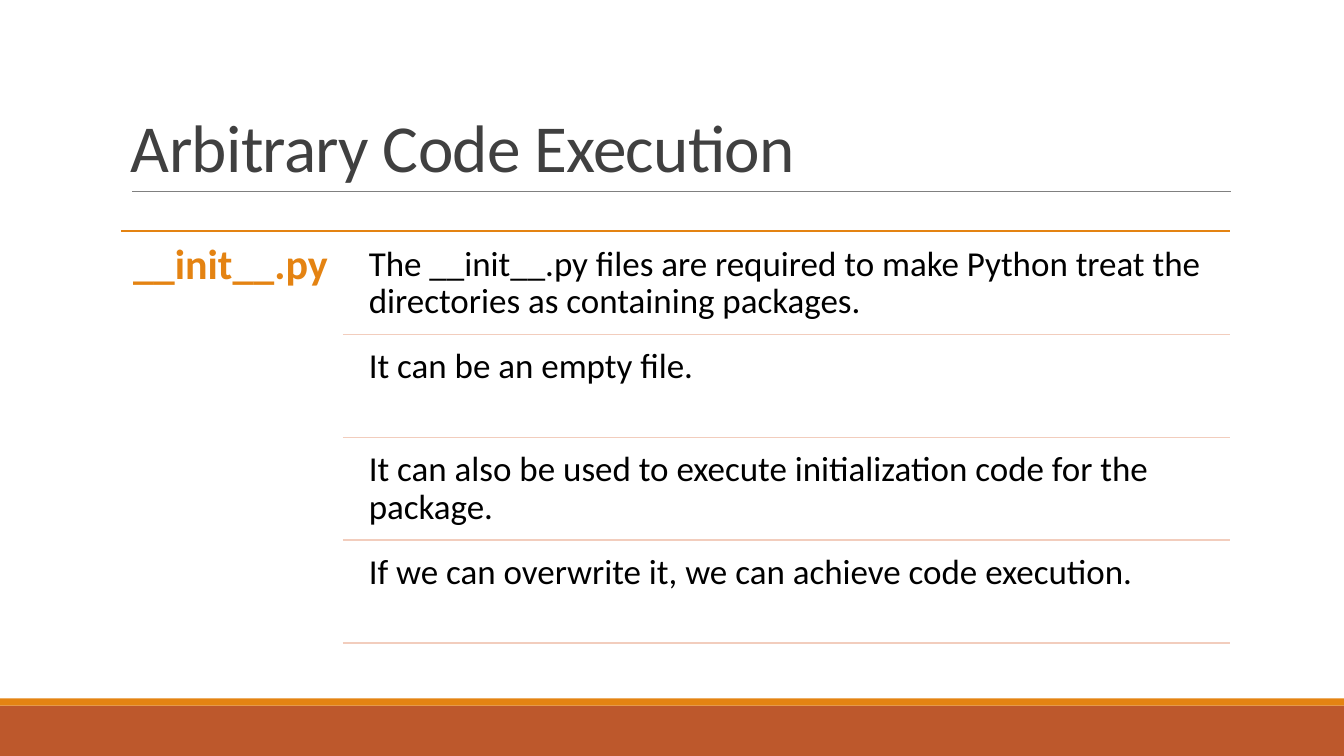
from lxml import etree
from pptx import Presentation
from pptx.dml.color import RGBColor
from pptx.enum.shapes import MSO_CONNECTOR, MSO_SHAPE
from pptx.enum.text import MSO_ANCHOR
from pptx.oxml.ns import qn
from pptx.util import Pt

EMU_PER_PX = 9144  # 100 px to the inch
STRAIGHT = MSO_CONNECTOR.STRAIGHT
RECTANGLE = MSO_SHAPE.RECTANGLE
TOP, BOTTOM = MSO_ANCHOR.TOP, MSO_ANCHOR.BOTTOM

RUST = RGBColor(0xBD, 0x58, 0x2C)
ORANGE = RGBColor(0xE4, 0x83, 0x12)
PEACH = RGBColor(0xF2, 0xCD, 0xBD)
GRAY = RGBColor(0x80, 0x80, 0x80)
CHARCOAL = RGBColor(0x40, 0x40, 0x40)
BLACK = RGBColor(0, 0, 0)

SLIDE_WIDTH, SLIDE_HEIGHT = 1333, 750
LIST_LEFT, LIST_TOP, LIST_RIGHT = 120, 229, 1220
ROW_LEFT, ROW_TEXT_LEFT = 340, 356
ROW_PITCH, ROW_GAP, ROW_HEIGHT = 102, 5, 97

POINTS = [
    "The __init__.py files are required to make Python treat the "
    "directories as containing packages.",
    "It can be an empty file.",
    "It can also be used to execute initialization code for the package.",
    "If we can overwrite it, we can achieve code execution.",
]


def px(length):
    return round(length * EMU_PER_PX)


class SlideBuilder:
    font_name = "Calibri"

    def __init__(self, presentation):
        self.slide = presentation.slides.add_slide(presentation.slide_layouts[6])

    def band(self, top, height, color):
        shape = self.slide.shapes.add_shape(
            RECTANGLE, 0, px(top), px(SLIDE_WIDTH), px(height))
        shape.shadow.inherit = False
        shape.fill.solid()
        shape.fill.fore_color.rgb = color
        shape.line.fill.background()

    def rule(self, left, right, y, color, width=1.25):
        """Draw a horizontal line."""
        connector = self.slide.shapes.add_connector(
            STRAIGHT, px(left), px(y), px(right), px(y))
        connector.line.color.rgb = color
        connector.line.width = Pt(width)
        etree.SubElement(connector._element.spPr, qn("a:effectLst"))

    def text(self, box, words, size, color, insets=(10, 10), anchor=TOP,
             line_spacing=0.9, space_after=0, bold=False, tracking=0):
        """Add a text box; insets are (sides, top and bottom), tracking is in points."""
        shape = self.slide.shapes.add_textbox(*map(px, box))
        frame = shape.text_frame
        frame.word_wrap = True
        frame.vertical_anchor = anchor
        side, edge = map(px, insets)
        frame.margin_left = frame.margin_right = side
        frame.margin_top = frame.margin_bottom = edge
        paragraph = frame.paragraphs[0]
        paragraph.line_spacing = line_spacing
        paragraph.space_after = Pt(space_after)
        run = paragraph.add_run()
        run.text = words
        run.font.name = self.font_name
        run.font.size = Pt(size)
        run.font.bold = bold
        run.font.color.rgb = color
        if tracking:
            run._r.get_or_add_rPr().set("spc", str(round(tracking * 100)))


def main():
    presentation = Presentation()
    presentation.slide_width = px(SLIDE_WIDTH)
    presentation.slide_height = px(SLIDE_HEIGHT)
    builder = SlideBuilder(presentation)

    builder.band(700, 50, RUST)
    builder.band(693, 7, ORANGE)
    builder.rule(131, 1221, 190, GRAY, width=0.5)
    builder.text((120, 31, 1100, 159), "Arbitrary Code Execution", 48, CHARCOAL,
                 insets=(10, 5), anchor=BOTTOM, line_spacing=0.85, tracking=-0.5)

    builder.rule(LIST_LEFT, LIST_RIGHT, LIST_TOP, ORANGE)
    builder.text((LIST_LEFT, LIST_TOP, 220, 414), "__init__.py", 30, ORANGE,
                 insets=(12, 12), space_after=10.5, bold=True)
    for index, point in enumerate(POINTS):
        row_top = LIST_TOP + index * ROW_PITCH + ROW_GAP
        builder.text((ROW_TEXT_LEFT, row_top, 863, ROW_HEIGHT), point, 25, BLACK,
                     space_after=8.75)
        builder.rule(ROW_LEFT, LIST_RIGHT, row_top + ROW_HEIGHT + 1, PEACH)

    presentation.save("out.pptx")


if __name__ == "__main__":
    main()
